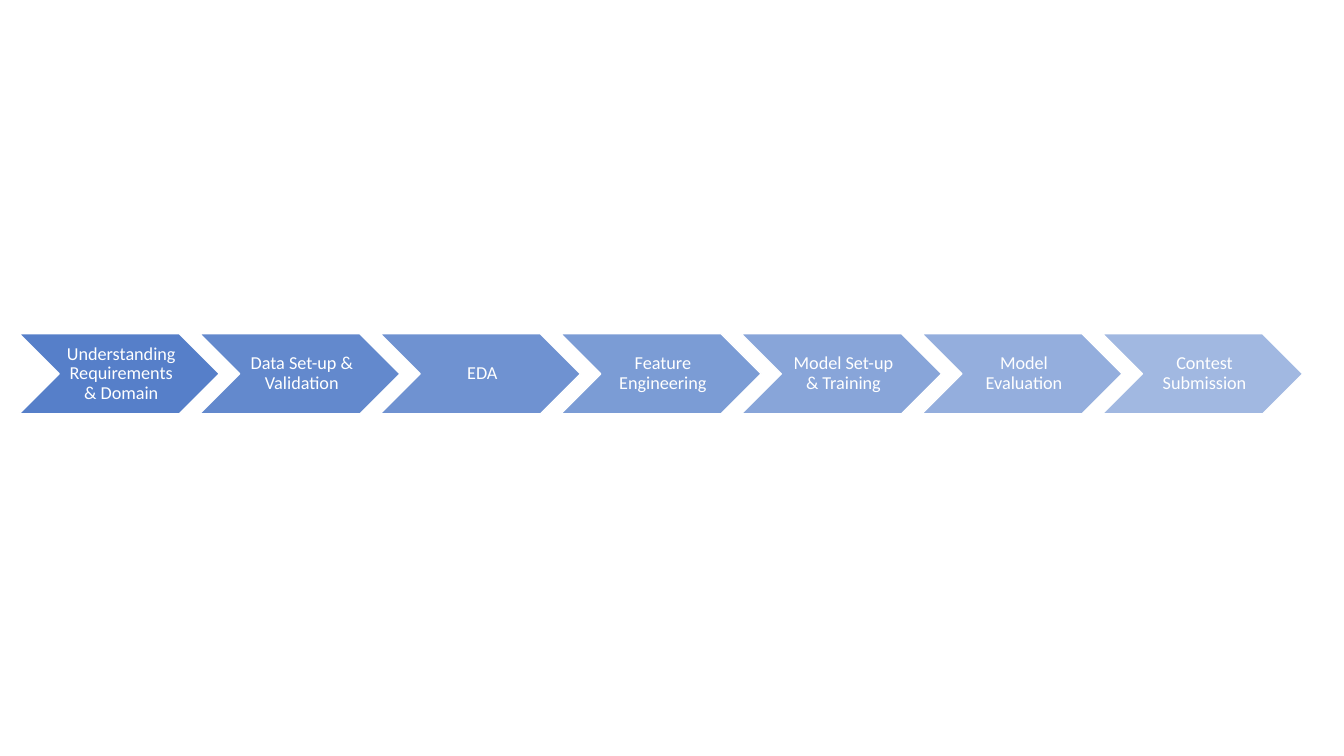
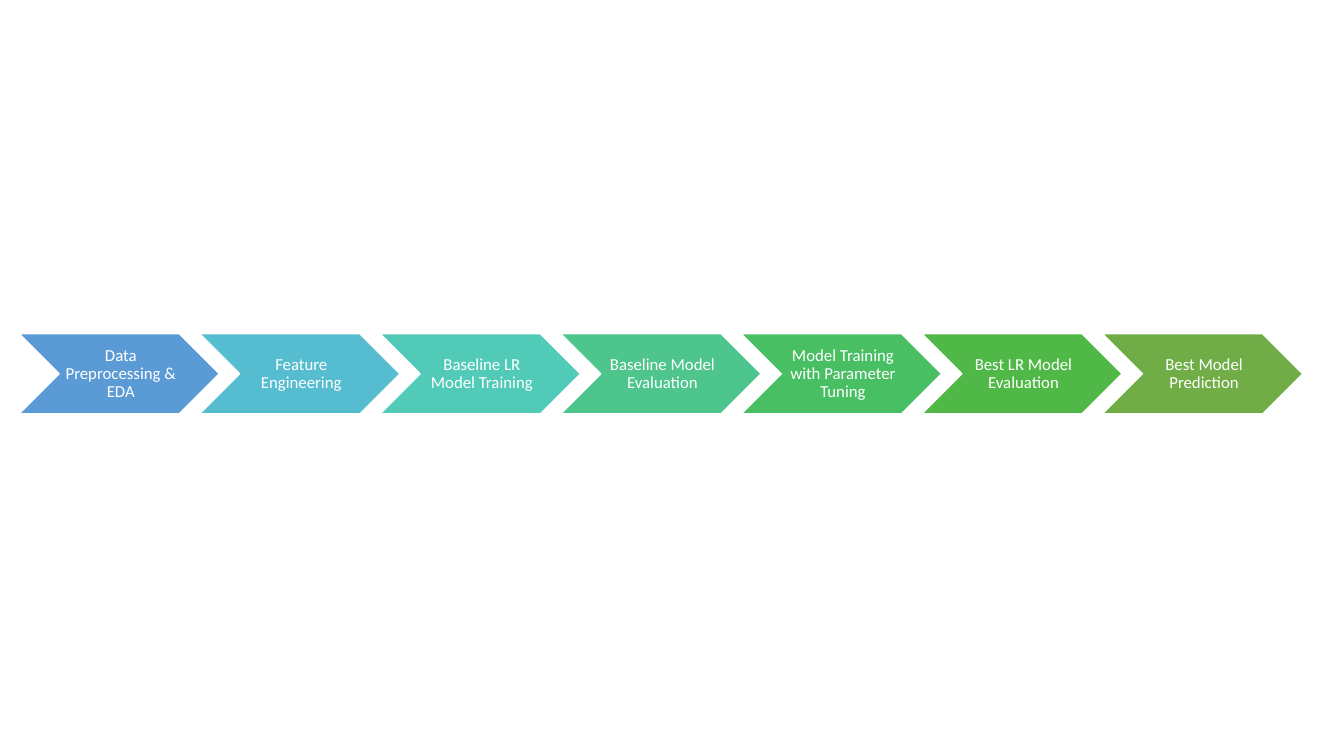
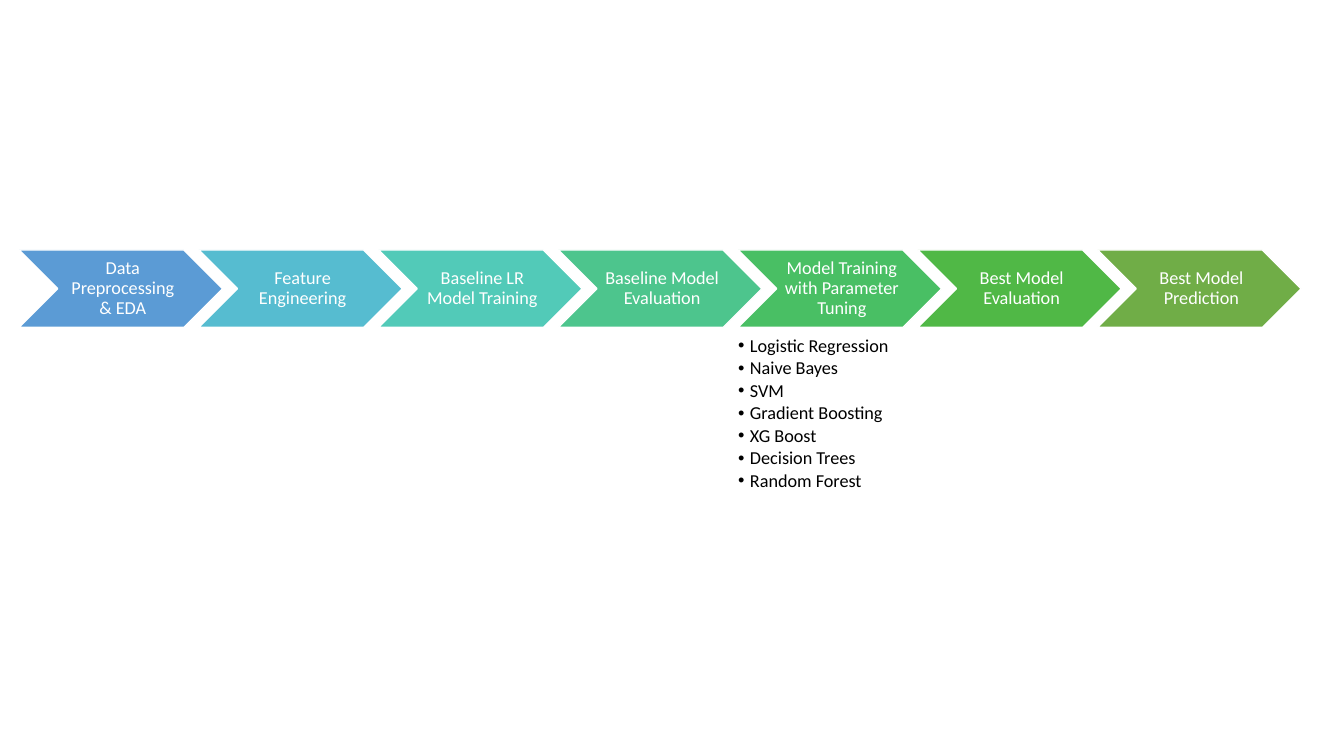
from dataclasses import dataclass

from lxml.etree import SubElement
from pptx import Presentation
from pptx.dml.color import RGBColor
from pptx.enum.shapes import MSO_SHAPE
from pptx.enum.text import MSO_ANCHOR, MSO_AUTO_SIZE, PP_ALIGN
from pptx.oxml.ns import qn
from pptx.util import Cm, Pt


@dataclass(frozen=True)
class Theme:
    font: str = "Calibri"
    blue: str = "4472C4"
    white: str = "FFFFFF"
    black: str = "000000"
    spectrum: tuple = ("5B9BD5", "56BCD0", "52CAB8", "4DC58D", "49BF64", "50B846", "70AD47")
    large: int = 13
    small: int = 12
    line_spacing: float = 0.9
    most_opaque: int = 90
    least_opaque: int = 50


@dataclass(frozen=True)
class Band:
    top: float
    width: float
    height: float
    pitch: float
    left: float = 0.48


THEME = Theme()
MIDDLE_BAND = Band(top=8.41, width=5.05, height=2.02, pitch=4.55)
UPPER_BAND = Band(top=6.3, width=5.13, height=1.95, pitch=4.53)

PROCESSES = [
    {
        "steps": [
            "Understanding Requirements & Domain",
            "Data Set-up & Validation",
            "EDA",
            "Feature Engineering",
            "Model Set-up & Training",
            "Model Evaluation",
            "Contest Submission",
        ],
        "band": MIDDLE_BAND,
        "size": THEME.large,
        "left_inset": 0.15,
        "fading": True,
    },
    {
        "steps": [
            "Data Preprocessing & EDA",
            "Feature Engineering",
            "Baseline LR Model Training",
            "Baseline Model Evaluation",
            "Model Training with Parameter Tuning",
            "Best LR Model Evaluation",
            "Best Model Prediction",
        ],
        "band": MIDDLE_BAND,
        "size": THEME.small,
        "left_inset": 0.13,
    },
    {
        "steps": [
            "Data Preprocessing & EDA",
            "Feature Engineering",
            "Baseline LR Model Training",
            "Baseline Model Evaluation",
            "Model Training with Parameter Tuning",
            "Best Model Evaluation",
            "Best Model Prediction",
        ],
        "band": UPPER_BAND,
        "size": THEME.large,
        "left_inset": 0.15,
        "models_under": 4,
        "models": [
            "Logistic Regression",
            "Naive Bayes",
            "SVM",
            "Gradient Boosting",
            "XG Boost",
            "Decision Trees",
            "Random Forest",
        ],
    },
]


def format_paragraph(paragraph, size, color, alignment):
    paragraph.font.name = THEME.font
    paragraph.font.size = Pt(size)
    paragraph.font.color.rgb = RGBColor.from_string(color)
    paragraph.alignment = alignment
    paragraph.line_spacing = THEME.line_spacing
    paragraph.space_before = Pt(0)


def set_insets(text_frame, left, others):
    text_frame.margin_left = Cm(left)
    text_frame.margin_top = text_frame.margin_right = text_frame.margin_bottom = Cm(others)


def step_left(band, index):
    return Cm(band.left + index * band.pitch)


def set_opacity(shape, percent):
    color = shape.fill._xPr.find(qn("a:solidFill"))[0]
    SubElement(color, qn("a:alpha"), val=str(round(percent * 1000)))


def add_step(slide, process, index):
    band = process["band"]
    shape = slide.shapes.add_shape(
        MSO_SHAPE.CHEVRON, step_left(band, index), Cm(band.top), Cm(band.width), Cm(band.height)
    )
    shape.shadow.inherit = False
    shape.line.color.rgb = RGBColor.from_string(THEME.white)
    shape.line.width = Pt(1)
    shape.fill.solid()
    fading = process.get("fading")
    shape.fill.fore_color.rgb = RGBColor.from_string(THEME.blue if fading else THEME.spectrum[index])
    if fading:
        fade = index / (len(process["steps"]) - 1)
        set_opacity(shape, THEME.most_opaque - fade * (THEME.most_opaque - THEME.least_opaque))

    text_frame = shape.text_frame
    text_frame.text = process["steps"][index]
    text_frame.word_wrap = True
    text_frame.vertical_anchor = MSO_ANCHOR.MIDDLE
    set_insets(text_frame, process["left_inset"], 0.05)
    format_paragraph(text_frame.paragraphs[0], process["size"], THEME.white, PP_ALIGN.CENTER)


def fill_model_list(body, process):
    body.left = step_left(process["band"], process["models_under"])
    body.top, body.width, body.height = Cm(8.48), Cm(4.11), Cm(4.06)
    text_frame = body.text_frame
    text_frame.text = "\n".join(process["models"])
    text_frame.word_wrap = True
    text_frame.auto_size = MSO_AUTO_SIZE.NONE
    text_frame.vertical_anchor = MSO_ANCHOR.TOP
    set_insets(text_frame, 0, 0)
    for paragraph in text_frame.paragraphs:
        paragraph.level = 1
        format_paragraph(paragraph, process["size"], THEME.black, PP_ALIGN.LEFT)
        paragraph.space_after = Pt(2)
        properties = paragraph._p.get_or_add_pPr()
        properties.set("marL", str(Cm(0.3)))
        properties.set("indent", str(-Cm(0.3)))
        bullet = properties.makeelement(qn("a:buChar"), {"char": "•"})
        properties.find(qn("a:spcAft")).addnext(bullet)


def add_process(presentation, process):
    has_models = "models" in process
    layout_name = "Title and Content" if has_models else "Blank"
    slide = presentation.slides.add_slide(presentation.slide_layouts.get_by_name(layout_name))
    for index in range(len(process["steps"])):
        add_step(slide, process, index)
    if has_models:
        title = slide.shapes.title.element
        title.getparent().remove(title)
        fill_model_list(slide.placeholders[1], process)


def main():
    presentation = Presentation()
    presentation.slide_width = Cm(33.87)
    presentation.slide_height = Cm(19.05)
    for process in PROCESSES:
        add_process(presentation, process)
    presentation.save("out.pptx")


if __name__ == "__main__":
    main()
